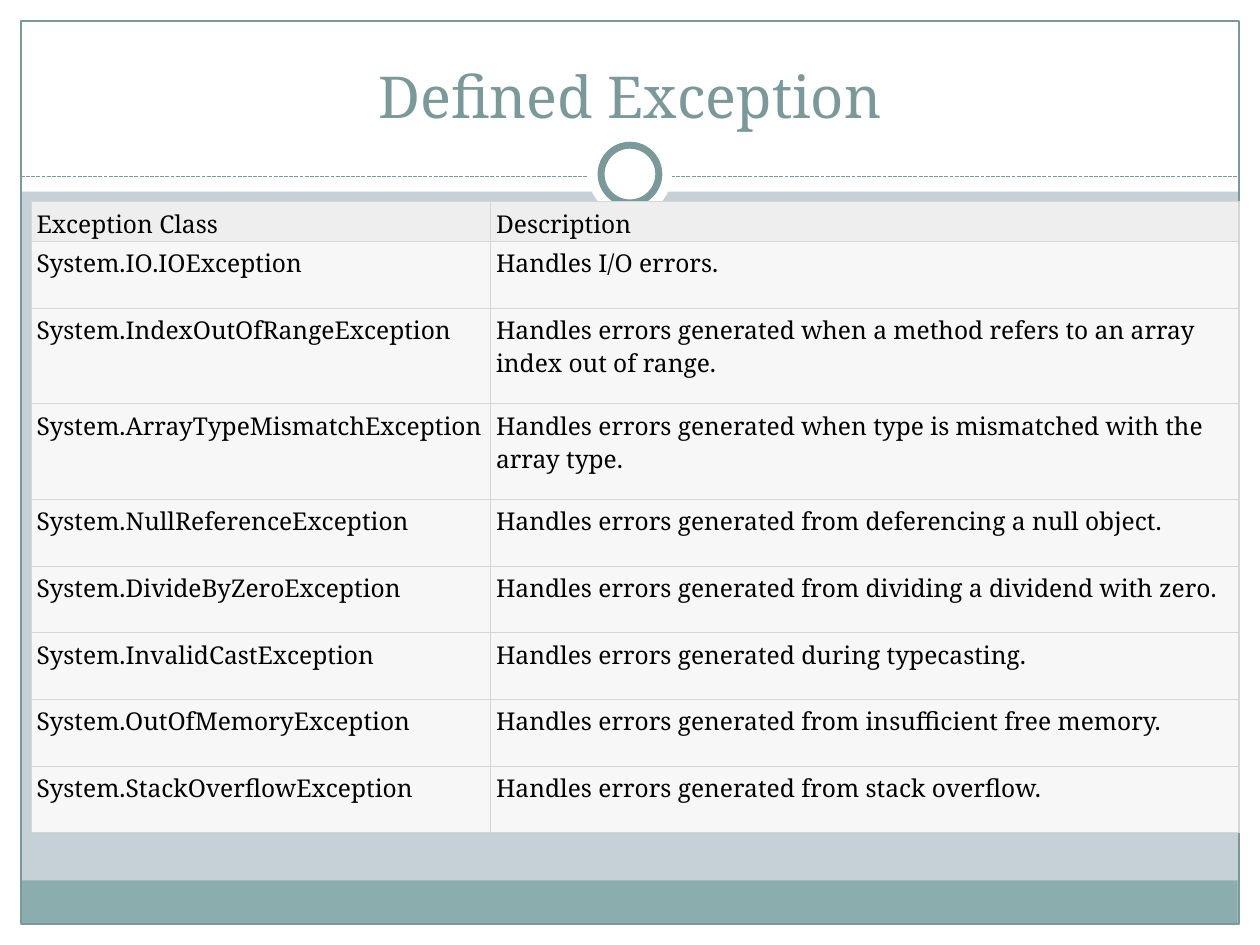
from dataclasses import dataclass
from typing import Any, Optional

from lxml.etree import SubElement
from pptx import Presentation
from pptx.dml.color import RGBColor
from pptx.enum.dml import MSO_LINE
from pptx.enum.shapes import MSO_CONNECTOR, MSO_SHAPE
from pptx.enum.text import MSO_ANCHOR, PP_ALIGN
from pptx.oxml import parse_xml
from pptx.oxml.ns import nsdecls, qn
from pptx.util import Pt

HUES = {
    "back": "C5D1D7", "white": "FFFFFF", "band": "8CADAE", "teal": "7C999A",
    "head": "EEEEEE", "body": "F7F7F7", "edge": "D6D6D6", "ink": "000000",
}
WIDE, HIGH, RIM = 720, 540, 12
RULE = 100.8
FACE = {"name": "Noto Serif", "bold": False}
FIT = {"word_wrap": True, "vertical_anchor": MSO_ANCHOR.BOTTOM}
CELL = dict.fromkeys(
    ("margin_left", "margin_top", "margin_right", "margin_bottom"), Pt(3))
COLS = (262.5, 427.5)
ROWS = (
    ("Exception Class", "Description", 21.6),
    ("System.IO.IOException", "Handles I/O errors.", 38.1),
    ("System.IndexOutOfRangeException",
     "Handles errors generated when a method refers to an array index out of range.", 54.7),
    ("System.ArrayTypeMismatchException",
     "Handles errors generated when type is mismatched with the array type.", 54.7),
    ("System.NullReferenceException",
     "Handles errors generated from deferencing a null object.", 38.1),
    ("System.DivideByZeroException",
     "Handles errors generated from dividing a dividend with zero.", 38.1),
    ("System.InvalidCastException",
     "Handles errors generated during typecasting.", 38.1),
    ("System.OutOfMemoryException",
     "Handles errors generated from insufficient free memory.", 38.1),
    ("System.StackOverflowException",
     "Handles errors generated from stack overflow.", 38.1),
)


@dataclass
class Box:
    """Frame shape measured in points."""
    left: float
    top: float
    width: float
    height: float
    fill: Optional[str] = "white"
    line: float = 0
    kind: MSO_SHAPE = MSO_SHAPE.RECTANGLE


def ring(size: float, line: float = 0) -> Box:
    """Return a white disc centred on the medallion."""
    return Box((WIDE - size) / 2, 99.5 - size / 2, size, size,
               line=line, kind=MSO_SHAPE.OVAL)


BARS = (
    Box(0, HIGH - RIM, WIDE, RIM),
    Box(0, 0, WIDE, 109.5),
    Box(0, 0, RIM, HIGH),
    Box(WIDE - RIM, 0, RIM, HIGH),
    Box(11.7, 503, 695.5, 24.7, "band"),
    Box(RIM, RIM, WIDE - 2 * RIM, HIGH - 2 * RIM, None, 0.75),
)
RINGS = (ring(48), ring(33, 4))


def hue(name: str) -> RGBColor:
    """Look up a named colour."""
    return RGBColor.from_string(HUES[name])


def apply(item: Any, form: dict[str, Any]) -> None:
    """Set each format value on an item."""
    for key, value in form.items():
        setattr(item, key, value)


def paint(item: Any, name: str) -> None:
    """Give an item a solid fill."""
    item.fill.solid()
    item.fill.fore_color.rgb = hue(name)


def write(frame: Any, text: str, size: float, name: str) -> None:
    """Put one styled run in a text frame."""
    run = frame.paragraphs[0].add_run()
    run.text = text
    apply(run.font, FACE | {"size": Pt(size)})
    run.font.color.rgb = hue(name)


def draw(slide: Any, box: Box) -> None:
    """Draw one frame shape."""
    shape = slide.shapes.add_shape(
        box.kind, Pt(box.left), Pt(box.top), Pt(box.width), Pt(box.height))
    shape.shadow.inherit = False
    if box.fill:
        paint(shape, box.fill)
    else:
        shape.fill.background()
    if box.line:
        shape.line.width = Pt(box.line)
        shape.line.color.rgb = hue("teal")
    else:
        shape.line.fill.background()


def dash(slide: Any) -> None:
    """Draw the dashed rule below the title."""
    rule = slide.shapes.add_connector(
        MSO_CONNECTOR.STRAIGHT, Pt(RIM), Pt(RULE), Pt(WIDE - RIM), Pt(RULE))
    apply(rule.line, {"width": Pt(0.75), "dash_style": MSO_LINE.SQUARE_DOT})
    rule.line.color.rgb = hue("teal")
    SubElement(rule.element.spPr, qn("a:effectLst"))


def title(slide: Any, text: str) -> None:
    """Write the slide title."""
    frame = slide.shapes.add_textbox(Pt(24), Pt(18), Pt(672), Pt(60)).text_frame
    apply(frame, FIT)
    frame.paragraphs[0].alignment = PP_ALIGN.CENTER
    write(frame, text, 33, "teal")


def edge(cell: Any) -> None:
    """Rule all four sides of a cell."""
    props = cell._tc.get_or_add_tcPr()
    for spot, side in enumerate(("lnL", "lnR", "lnT", "lnB")):
        props.insert(spot, parse_xml(
            f'<a:{side} {nsdecls("a")} w="{Pt(0.75)}"><a:solidFill>'
            f'<a:srgbClr val="{HUES["edge"]}"/></a:solidFill></a:{side}>'))


def grid(slide: Any) -> None:
    """Build the table of exception classes."""
    high = sum(row[-1] for row in ROWS)
    table = slide.shapes.add_table(
        len(ROWS), len(COLS), Pt(18), Pt(115.2), Pt(sum(COLS)), Pt(high)).table
    apply(table, {"first_row": False, "horz_banding": False})
    for col, width in zip(table.columns, COLS):
        col.width = Pt(width)
    for index, (row, (*texts, tall)) in enumerate(zip(table.rows, ROWS)):
        row.height = Pt(tall)
        for cell, text in zip(row.cells, texts):
            apply(cell, CELL)
            paint(cell, "body" if index else "head")
            edge(cell)
            write(cell.text_frame, text, 14, "ink")


def main() -> None:
    """Build and save the slide."""
    deck = Presentation()
    apply(deck, {"slide_width": Pt(WIDE), "slide_height": Pt(HIGH)})
    slide = deck.slides.add_slide(deck.slide_layouts[6])
    paint(slide.background, "back")
    for box in BARS:
        draw(slide, box)
    dash(slide)
    for box in RINGS:
        draw(slide, box)
    title(slide, "Defined Exception")
    grid(slide)
    deck.save("out.pptx")


if __name__ == "__main__":
    main()
